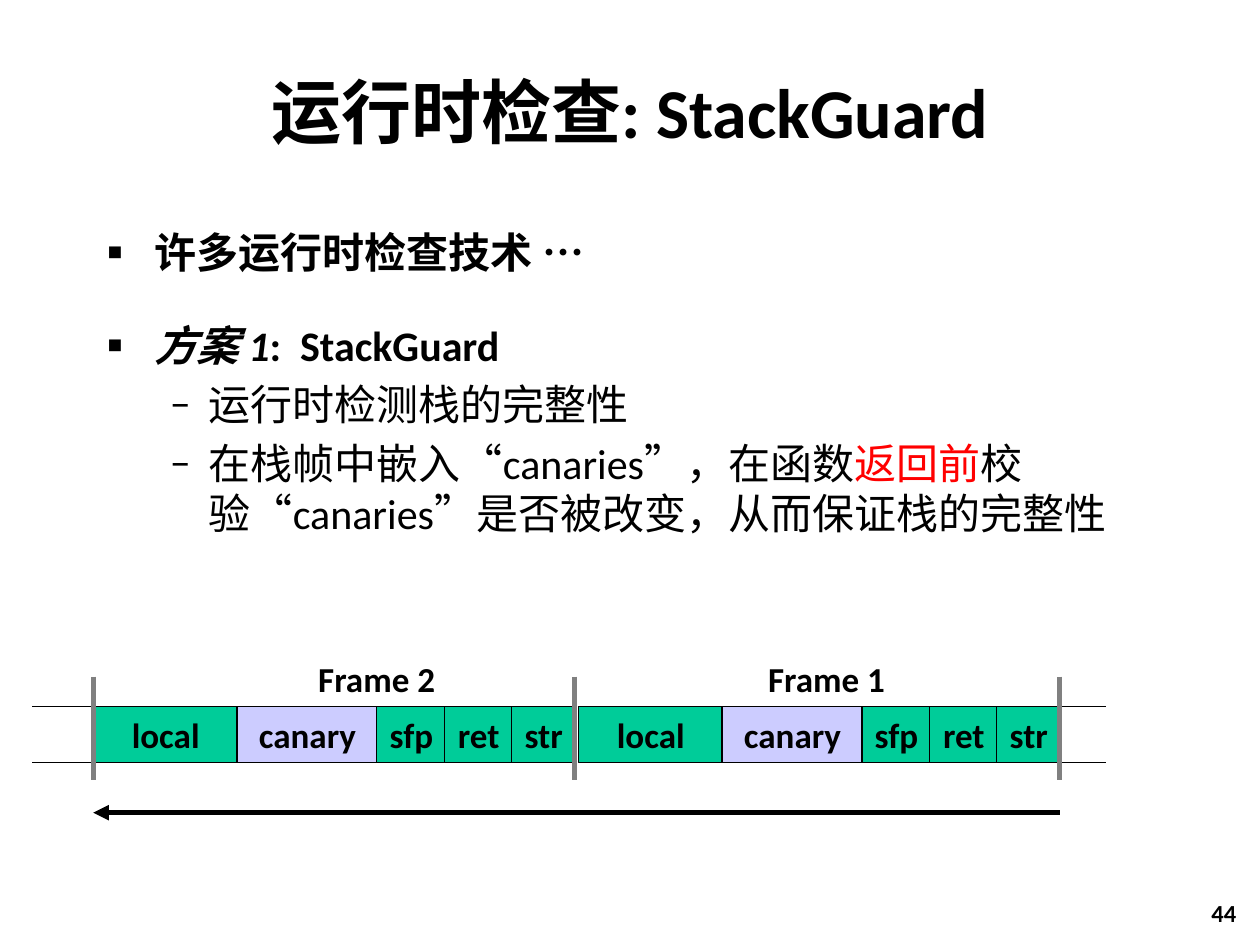
from lxml import etree
from pptx import Presentation
from pptx.dml.color import RGBColor
from pptx.enum.shapes import MSO_CONNECTOR, MSO_SHAPE
from pptx.enum.text import MSO_ANCHOR, PP_ALIGN
from pptx.oxml.ns import qn
from pptx.util import Inches, Pt

LINE, RECT = MSO_CONNECTOR.STRAIGHT, MSO_SHAPE.RECTANGLE
MID, TOP = MSO_ANCHOR.MIDDLE, MSO_ANCHOR.TOP
CENTER, LEFT, RIGHT = PP_ALIGN.CENTER, PP_ALIGN.LEFT, PP_ALIGN.RIGHT

INK = {"black": "000000", "red": "FF0000", "gray": "808080",
       "green": "00CC99", "lilac": "CCCCFF"}
FONT = "Calibri"

TITLE = "运行时检查: StackGuard"
BOLD = {"bold": True}
POINTS = [
    (0, 0, [("许多运行时检查技术 …", BOLD)]),
    (0, 24, [("方案 1", {"bold": True, "italic": True}), (":  StackGuard", BOLD)]),
    (1, 5, [("运行时检测栈的完整性", {})]),
    (1, 5, [("在栈帧中嵌入“canaries”，在函数", {}),
            ("返回前", {"ink": "red"}),
            ("校验“canaries”是否被改变，从而保证栈的完整性", {})]),
]
BULLETS = [("▪", 0.38, -0.38, 110), ("–", 0.81, -0.31, 100)]

CELLS = [("local", 1.15, "green"), ("canary", 1.12, "lilac"),
         ("sfp", 0.55, "green"), ("ret", 0.54, "green"), ("str", 0.51, "green")]
FRAMES = [("Frame 2", 0.74, 2.42), ("Frame 1", 4.59, 5.99)]
ROW, HIGH, LAP = 5.61, 0.44, 0.01
WALLS = [0.74, 4.56, 8.41]
EDGES = [(0.74, 0.25), (8.41, 8.78)]


def color(name):
    return RGBColor.from_string(INK[name])


def add_run(para, text, size, bold=False, italic=False, ink="black"):
    run = para.add_run()
    run.text = text
    font = run.font
    font.name, font.size = FONT, Pt(size)
    font.bold, font.italic = bold, italic
    font.color.rgb = color(ink)


def set_up(frame, anchor=TOP, wrap=True, side=0.1):
    frame.word_wrap = wrap
    frame.vertical_anchor = anchor
    frame.margin_left = frame.margin_right = Inches(side)
    frame.margin_top = frame.margin_bottom = Inches(0.05)
    return frame


def add_text(slide, box, text, size, align, wrap=True):
    shape = slide.shapes.add_textbox(*map(Inches, box))
    para = set_up(shape.text_frame, wrap=wrap).paragraphs[0]
    para.alignment = align
    add_run(para, text, size, bold=True)


def add_cell(slide, left, width, text, ink):
    shape = slide.shapes.add_shape(RECT, *map(Inches, (left, ROW, width, HIGH)))
    shape.shadow.inherit = False
    shape.fill.solid()
    shape.fill.fore_color.rgb = color(ink)
    shape.line.color.rgb = color("black")
    shape.line.width = Pt(0.75)
    para = set_up(shape.text_frame, MID, False).paragraphs[0]
    para.alignment = CENTER
    add_run(para, text, 20, bold=True)


def add_line(slide, ends, width, ink="black", arrow=False):
    line = slide.shapes.add_connector(LINE, *map(Inches, ends))
    line.line.width = Pt(width)
    line.line.color.rgb = color(ink)
    if arrow:
        etree.SubElement(line.line._get_or_add_ln(), qn("a:tailEnd"), type="triangle")
    etree.SubElement(line._element.spPr, qn("a:effectLst"))


def add_points(slide):
    box = slide.shapes.add_textbox(*map(Inches, (0.75, 1.75, 8.5, 4.92)))
    frame = set_up(box.text_frame)
    for i, (level, space, runs) in enumerate(POINTS):
        para = frame.add_paragraph() if i else frame.paragraphs[0]
        mark, left, hang, scale = BULLETS[level]
        props = para._p.get_or_add_pPr()
        props.set("marL", str(Inches(left)))
        props.set("indent", str(Inches(hang)))
        etree.SubElement(props, qn("a:buSzPct"), val=str(scale * 1000))
        etree.SubElement(props, qn("a:buFont"), typeface=FONT)
        etree.SubElement(props, qn("a:buChar"), char=mark)
        para.level = level
        para.alignment = LEFT
        para.space_before = Pt(space)
        for text, style in runs:
            add_run(para, text, 24, **style)


def add_stack(slide):
    for name, left, label in FRAMES:
        for text, width, ink in CELLS:
            add_cell(slide, left, width, text, ink)
            left += width - LAP
        add_text(slide, (label, 5.17, 1.14, 0.44), name, 20, CENTER, False)
    for start, end in EDGES:
        for y in (ROW, ROW + HIGH):
            add_line(slide, (start, y, end, y), 0.75)
    for x in WALLS:
        add_line(slide, (x, 5.37, x, 6.19), 3, "gray")
    add_line(slide, (WALLS[-1], 6.45, WALLS[0], 6.45), 3, arrow=True)


def main():
    deck = Presentation()
    deck.slide_width, deck.slide_height = Inches(10), Inches(7.5)
    slide = deck.slides.add_slide(deck.slide_layouts[5])
    title = slide.shapes.title
    title.left, title.top, title.width, title.height = map(
        Inches, (0.75, 0.25, 8.5, 1.25))
    para = set_up(title.text_frame, MID).paragraphs[0]
    para.alignment = CENTER
    add_run(para, TITLE, 40, bold=True)
    add_points(slide)
    add_stack(slide)
    add_text(slide, (7.83, 7.08, 2.08, 0.5), "44", 14, RIGHT)
    deck.save("out.pptx")


if __name__ == "__main__":
    main()
